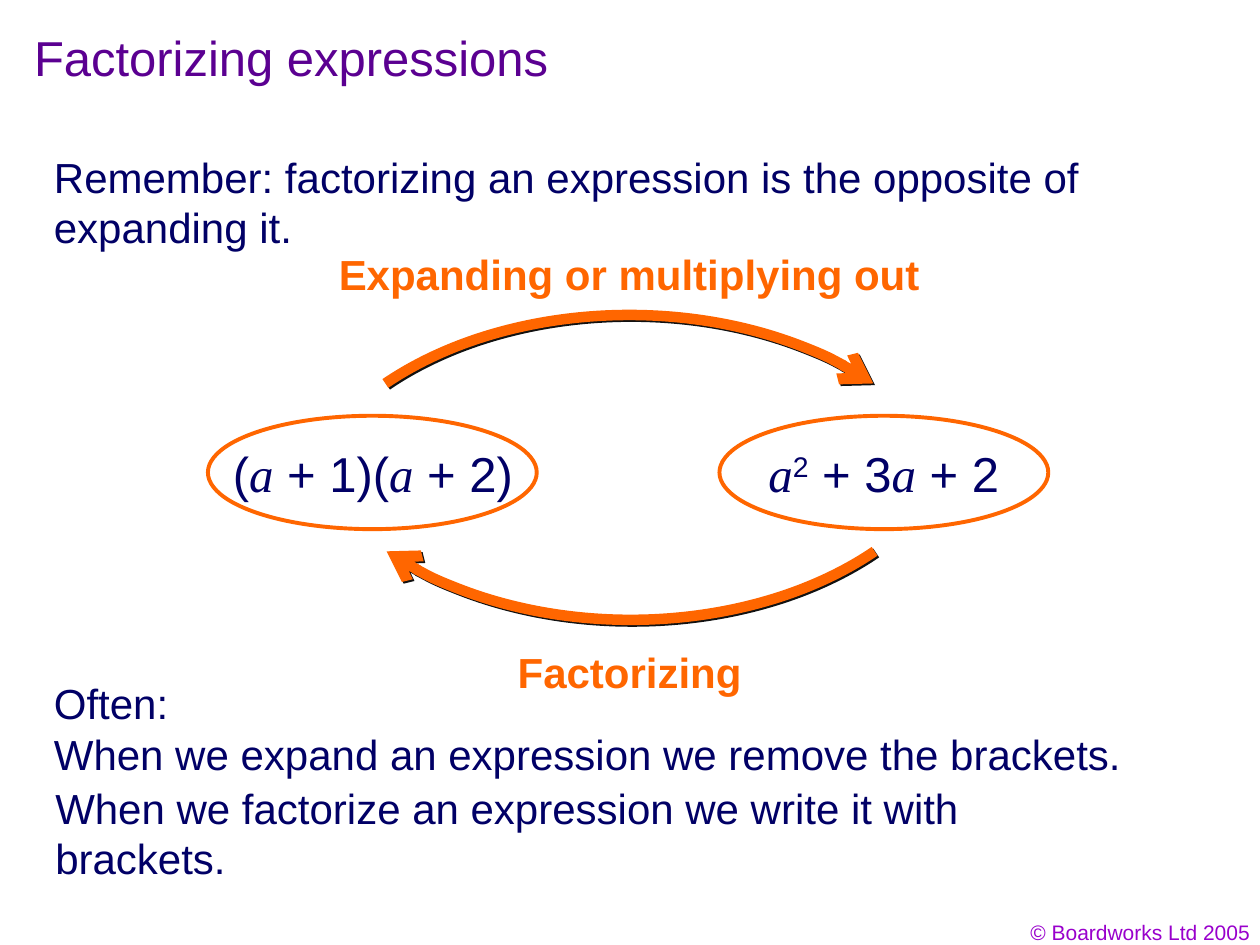
from lxml import etree
from pptx import Presentation
from pptx.dml.color import RGBColor
from pptx.enum.shapes import MSO_SHAPE
from pptx.enum.text import MSO_ANCHOR, PP_ALIGN
from pptx.oxml import parse_xml
from pptx.oxml.ns import nsdecls, qn
from pptx.util import Inches, Pt

ARC = MSO_SHAPE.ARC
OVAL = MSO_SHAPE.OVAL
TOP = MSO_ANCHOR.TOP
LEFT = PP_ALIGN.LEFT
RIGHT = PP_ALIGN.RIGHT

NAVY = "010066"
ORANGE = "FF6600"
PURPLE = "5B0091"
VIOLET = "9900CC"


def paint(color):
    return RGBColor.from_string(color)


class Deck:
    sans = "Arial"
    serif = "Times New Roman"

    def __init__(self):
        self.prs = Presentation()
        self.prs.slide_width = Inches(10)
        self.prs.slide_height = Inches(7.5)
        self.slide = self.prs.slides.add_slide(self.prs.slide_layouts[5])

    def style(self, font, size, color, bold=False):
        font.name = self.sans
        font.size = Pt(size)
        font.bold = bold
        font.color.rgb = paint(color)

    def fill(self, frame, text, size, color, bold=False, align=LEFT):
        frame.text = text
        frame.vertical_anchor = TOP
        for para in frame.paragraphs:
            para.alignment = align
            for run in para.runs:
                self.style(run.font, size, color, bold)

    def title(self, text, box):
        shape = self.slide.shapes.title
        shape.left, shape.top, shape.width, shape.height = map(Inches, box)
        self.fill(shape.text_frame, text, 28, PURPLE)

    def box(self, box, wrap):
        frame = self.slide.shapes.add_textbox(*map(Inches, box)).text_frame
        frame.word_wrap = wrap
        return frame

    def text(self, text, box, size=24, color=NAVY, bold=False, align=LEFT, wrap=True):
        self.fill(self.box(box, wrap), text, size, color, bold, align)

    def math(self, parts, box):
        para = self.box(box, False).paragraphs[0]
        for part in parts:
            run = para.add_run()
            run.text = part.lstrip("^")
            self.style(run.font, 28, NAVY)
            if part == "a":
                run.font.name = self.serif
                run.font.italic = True
            if part.startswith("^"):
                run.font._element.set("baseline", "30000")

    def line(self, kind, box, width):
        shape = self.slide.shapes.add_shape(kind, *map(Inches, box))
        shape.shadow.inherit = False
        shape.fill.background()
        shape.line.color.rgb = paint(ORANGE)
        shape.line.width = Pt(width)
        return shape

    def oval(self, box):
        self.line(OVAL, box, 2.25)

    def arrow(self, box, start, end):
        shape = self.line(ARC, box, 6)
        for i, angle in enumerate((start, end)):
            shape.adjustments[i] = angle * 0.6
        etree.SubElement(shape.line._get_or_add_ln(), qn("a:tailEnd"), type="arrow")
        effects = shape._element.spPr.find(qn("a:effectLst"))
        effects.append(parse_xml(
            f'<a:outerShdw {nsdecls("a")} blurRad="0" dist="{Pt(1.4)}" dir="2700000" '
            'algn="ctr" rotWithShape="0"><a:srgbClr val="111111"/></a:outerShdw>'))

    def save(self):
        self.prs.save("out.pptx")


def main():
    deck = Deck()
    deck.text("© Boardworks Ltd 2005", (7.69, 7.25, 2.33, 0.3), 12, VIOLET, align=RIGHT)
    deck.title("Factorizing expressions", (0.17, 0.17, 6.01, 0.58))
    deck.text("Remember: factorizing an expression is the opposite of expanding it.",
              (0.33, 1.15, 9.47, 0.9))

    tilt = 33.7
    deck.arrow((2.27, 2.5, 5.45, 3.67), 180 + tilt, 360 - tilt)
    deck.text("Expanding or multiplying out", (2.59, 1.92, 4.81, 0.5),
              color=ORANGE, bold=True, wrap=False)
    deck.arrow((2.28, 1.25, 5.45, 3.67), tilt, 180 - tilt)
    deck.text("Factorizing", (4.01, 5.08, 1.98, 0.5),
              color=ORANGE, bold=True, wrap=False)

    deck.text("Often:\nWhen we expand an expression we remove the brackets.",
              (0.33, 5.33, 9.47, 0.9))
    deck.math(("(", "a", " + 1)(", "a", " + 2)"), (1.75, 3.47, 2.42, 0.57))
    deck.math(("a", "^2", " + 3", "a", " + 2"), (6, 3.47, 2.03, 0.57))
    for left in (1.65, 5.71):
        deck.oval((left, 3.3, 2.61, 0.9))
    deck.text("When we factorize an expression we write it with brackets.",
              (0.34, 6.16, 8.81, 0.5), wrap=False)
    deck.save()


if __name__ == "__main__":
    main()
